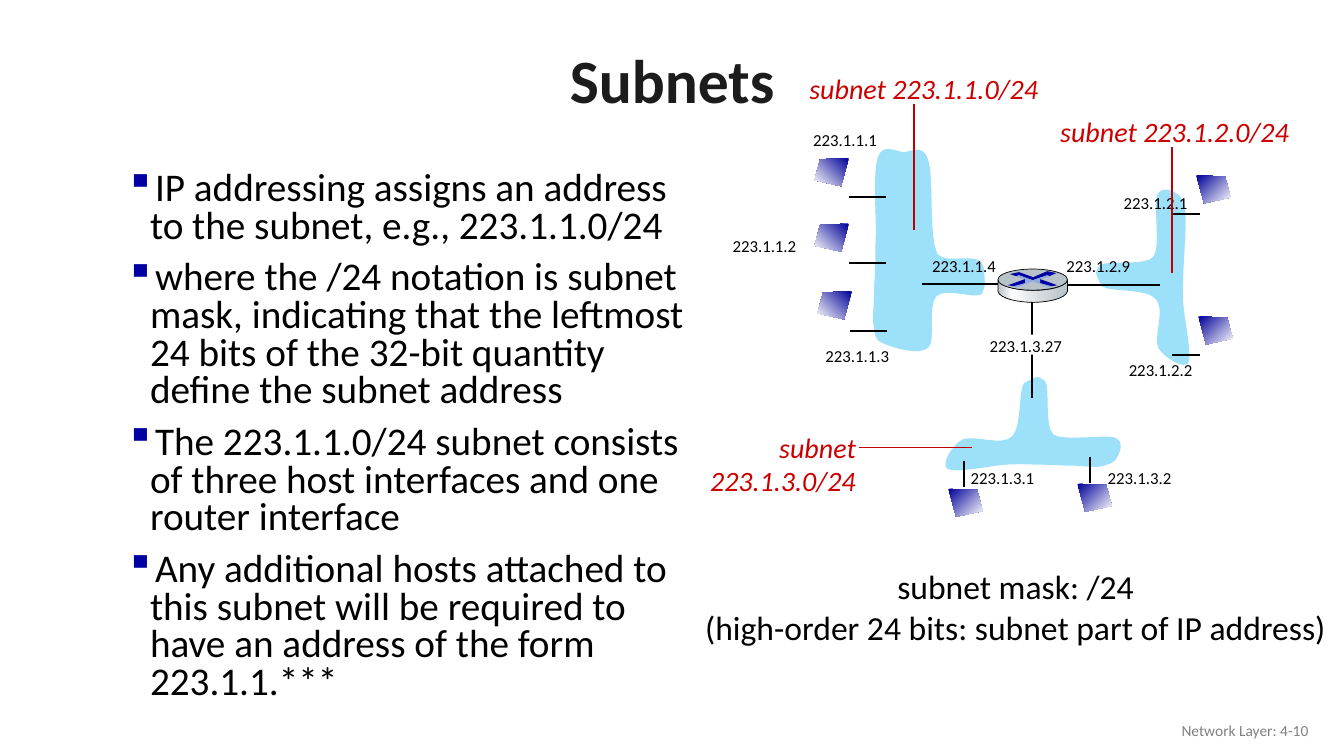
from lxml.etree import SubElement as Sub
from pptx import Presentation
from pptx.dml.color import RGBColor as RGB
from pptx.enum.shapes import MSO_CONNECTOR as Conn, MSO_SHAPE as Geo
from pptx.enum.text import MSO_ANCHOR as Anchor, PP_ALIGN as Al
from pptx.oxml.ns import qn
from pptx.util import Pt


def color(code):
    """Return the colour of a hex string."""
    return RGB.from_string(code)


def curve(pts, steps=8):
    """Return points along a chain of cubic curves."""
    out = [pts[0]]
    for i in range(0, len(pts) - 1, 3):
        a, b, c, d = pts[i:i + 4]
        for k in range(1, steps + 1):
            t = k / steps
            u = 1 - t
            out.append(tuple(u**3 * p + 3 * u * u * t * q + 3 * u * t * t * r + t**3 * s
                             for p, q, r, s in zip(a, b, c, d)))
    return out


class Deck:
    """Holds the style and the current slide."""

    face = "Calibri"
    ink = "000000"

    def __init__(self, wide, high):
        """Open a deck with one blank slide."""
        self.show = Presentation()
        self.show.slide_width, self.show.slide_height = Pt(wide), Pt(high)
        self.shapes = self.show.slides.add_slide(self.show.slide_layouts[6]).shapes

    def text(self, box, lines, size, ink=None, align=Al.LEFT, wrap=False,
             anchor=Anchor.TOP, space=None, gap=0, dot=None, **style):
        """Add a text box with one paragraph per line."""
        frame = self.shapes.add_textbox(*map(Pt, box)).text_frame
        frame.word_wrap, frame.vertical_anchor = wrap, anchor
        look = {"name": self.face, "size": Pt(size), **style}
        for i, line in enumerate(lines):
            para = frame.paragraphs[0] if i == 0 else frame.add_paragraph()
            para.alignment = align
            if space:
                para.line_spacing = space
            if gap and i:
                para.space_before = Pt(gap)
            if dot:
                self.bullet(para, dot)
            run = para.add_run()
            run.text = line
            for key, val in look.items():
                setattr(run.font, key, val)
            run.font.color.rgb = color(ink or self.ink)

    def bullet(self, para, ink):
        """Give a paragraph a square bullet and a hanging indent."""
        prop = para._p.get_or_add_pPr()
        prop.set("marL", str(Pt(28.1)))
        prop.set("indent", str(Pt(-17.3)))
        Sub(Sub(prop, qn("a:buClr")), qn("a:srgbClr")).set("val", ink)
        Sub(prop, qn("a:buChar")).set("char", "▪")

    def line(self, x1, y1, x2, y2, ink=None, width=1.5):
        """Add a straight line."""
        link = self.shapes.add_connector(Conn.STRAIGHT, *map(Pt, (x1, y1, x2, y2)))
        link.line.color.rgb, link.line.width = color(ink or self.ink), Pt(width)
        Sub(link._element.spPr, qn("a:effectLst"))

    def paint(self, shape, fill, edge=None, angle=0):
        """Set a plain or graded fill and the outline."""
        shape.shadow.inherit = False
        if isinstance(fill, str):
            shape.fill.solid()
            shape.fill.fore_color.rgb = color(fill)
        else:
            shape.fill.gradient()
            shape.fill.gradient_angle = angle
            stops = shape._element.spPr.find(qn("a:gradFill")).find(qn("a:gsLst"))
            for old in list(stops):
                stops.remove(old)
            for pos, code in fill:
                stop = Sub(stops, qn("a:gs"))
                stop.set("pos", str(pos * 1000))
                Sub(stop, qn("a:srgbClr")).set("val", code)
        if edge:
            shape.line.color.rgb, shape.line.width = color(self.ink), Pt(edge)
        else:
            shape.line.fill.background()

    def shape(self, kind, box, fill, edge=None):
        """Add a preset shape."""
        self.paint(self.shapes.add_shape(kind, *map(Pt, box)), fill, edge)

    def free(self, pts, fill, edge=None, angle=0):
        """Add a closed outline."""
        spots = [(Pt(x), Pt(y)) for x, y in pts]
        path = self.shapes.build_freeform(*spots[0], scale=1.0)
        path.add_line_segments(spots[1:], close=True)
        self.paint(path.convert_to_shape(), fill, edge, angle)

    def host(self, x, y, flip):
        """Add a host, leaning left when flipped."""
        form = [(0, 0), (20.5, 0.8), (24.5, 15.8), (5.5, 20)]
        self.free([(x + (24.5 - a if flip else a), y + b) for a, b in form],
                  [(0, "000099"), (100, "FFFFFF")], angle=225 if flip else 315)


BLOBS = [
    [(731.5, 273.6), (727.2, 280.1), (730.1, 304.6), (722.9, 311.8), (715.7, 319),
     (695.5, 310.3), (687.6, 313.9), (680.4, 317.5), (671.8, 331.9), (676.8, 334.8),
     (681.8, 338.4), (707.8, 332.6), (718.6, 331.9), (729.4, 331.2), (735.1, 331.9),
     (743, 331.9), (751, 331.9), (758.2, 332.6), (765.4, 332.6), (771.8, 332.6),
     (780.5, 334.1), (785.5, 333.4), (791.3, 331.9), (796.3, 330.5), (797.8, 326.9),
     (799.9, 323.3), (803.5, 315.4), (796.3, 312.5), (788.4, 310.3), (758.9, 315.4),
     (752.4, 310.3), (745.9, 304.6), (750.2, 277.2), (746.6, 272.2), (740.9, 268.6),
     (743, 267.8), (731.5, 273.6)],
    [(787, 204.5), (793.4, 208.8), (817.9, 205.9), (825.1, 213.1), (833, 220.3),
     (823.7, 240.5), (827.3, 248.4), (831.6, 255.6), (846, 264.2), (848.9, 259.2),
     (851.8, 254.2), (846, 228.2), (845.3, 217.4), (844.6, 206.6), (845.3, 200.9),
     (845.3, 193), (846, 185), (846, 177.8), (846.7, 170.6), (846.7, 163.4),
     (847.4, 155.5), (846.7, 150.5), (846, 144.7), (843.8, 139.7), (840.2, 138.2),
     (837.4, 136.1), (829.4, 132.5), (826.6, 139.7), (823.7, 147.6), (829.4, 177.1),
     (823.7, 183.6), (818.6, 190.1), (790.6, 185.8), (785.5, 189.4), (782.6, 195.1),
     (781.2, 193), (787, 204.5)],
    [(702.7, 191.5), (701.3, 177.8), (676.1, 190.1), (669.6, 181.4), (663.1, 168.5),
     (667.4, 126.7), (663.1, 114.5), (659.5, 102.2), (650.9, 108.7), (645.1, 108.7),
     (639.4, 108), (630.7, 102.2), (627.1, 112.3), (623.5, 121.7), (625.7, 153.4),
     (625.7, 166.3), (625, 179.3), (625.7, 182.9), (625, 190.8), (625, 198.7),
     (624.2, 205.9), (624.2, 213.1), (624.2, 220.3), (622.8, 228.2), (624.2, 233.3),
     (625, 239), (625, 243.4), (631.4, 245.5), (637.9, 248.4), (656.6, 254.2),
     (663.1, 248.4), (668.9, 243.4), (662.4, 218.2), (668.9, 211.7), (675.4, 205.2),
     (695.5, 213.8), (701.3, 210.2), (703.4, 204.5), (704.2, 205.2), (702.7, 191.5)]]
SIDE = [(762.5, 208.1), (761, 213.8), (746.6, 216), (738, 216), (729.4, 216),
        (714.2, 213.8), (712.8, 208.1), (712.8, 206.6), (712.8, 202.3), (712.8, 200.2),
        (715, 205.2), (729.4, 207.4), (738, 207.4), (745.9, 207.4), (760.3, 205.9),
        (762.5, 200.2)]
STEEL = [(0, "B8C2C9"), (21, "FFFFFF"), (60, "D6DCE0"), (100, "B8C2C9")]
MARKS = [
    ("0000A3", [(748.1, 193.7), (754.6, 195.1), (749.5, 197.3), (748.1, 196.6),
                (737.3, 200.2), (727.9, 196.6), (725.8, 197.3), (721.4, 195.8),
                (727.9, 194.4), (738, 198)]),
    ("0000A3", [(743, 199.4), (755.3, 203.8), (751, 204.5), (743, 202.3)]),
    ("0000A8", [(732.2, 199.4), (732.2, 202.3), (724.3, 204.5), (720, 203.8)]),
    ("8FAADC", [(725.8, 197.3), (727.9, 196.6), (738, 200.2), (748.1, 196.6),
                (750.2, 197.3), (743, 199.4), (743, 202.3), (751, 204.5),
                (748.8, 205.2), (738, 200.9), (726.5, 205.2), (724.3, 204.5),
                (732.2, 202.3), (732.2, 199.4)])]
NAMES = [("1.1", 573.8, 89.3), ("1.2", 516.2, 164.9), ("1.3", 582.5, 243.4),
         ("1.4", 658.8, 179.3), ("2.9", 754.6, 179.3), ("2.2", 799.2, 253.4),
         ("2.1", 795.6, 133.9), ("3.2", 784.1, 330.5), ("3.1", 686.2, 330.5)]
WIRES = [(606.2, 140.4, 632.9, 140.4), (606.2, 187.9, 632.9, 187.9),
         (607, 236.2, 633.6, 236.2), (836.6, 152.6, 857.5, 152.6),
         (837.4, 253.4, 857.5, 253.4), (688.3, 329, 688.3, 347.8),
         (778.3, 326.2, 778.3, 344.9), (658.8, 203, 721.4, 203),
         (751.7, 203.8, 828.7, 203.8)]
HOSTS = [(581.8, 113, True), (581.8, 159.8, True), (583.9, 208.1, True),
         (854.6, 125.3, False), (856.1, 226.1, False), (769.7, 345.6, False),
         (677.5, 349.2, False)]
POINTS = [
    "IP addressing assigns an address to the subnet, e.g., 223.1.1.0/24",
    "where the /24 notation is subnet mask, indicating that the leftmost 24 bits of "
    "the 32-bit quantity define the subnet address",
    "The 223.1.1.0/24 subnet consists of three host interfaces and one router interface",
    "Any additional hosts attached to this subnet will be required to have an address "
    "of the form 223.1.1.***"]
NETS = [((499, 303.8, 119.5, 55.4), ["subnet", "223.1.3.0/24"], Al.RIGHT,
         (613.4, 319.7, 694.1, 319.7), 1.25),
        ((571, 47.5, 179.3, 31.7), ["subnet 223.1.1.0/24"], Al.LEFT,
         (653, 74.2, 653, 164.2), 1.5),
        ((750.2, 78.5, 179.3, 31.7), ["subnet 223.1.2.0/24"], Al.LEFT,
         (837.4, 105.1, 837.4, 195.1), 1.5)]


def main():
    """Build the slide."""
    deck = Deck(960, 540)
    deck.text((66.2, 24.5, 828, 70.6), ["Subnets"], 44, "1C1C1C", Al.CENTER, True,
              Anchor.MIDDLE, 0.9, bold=True)
    for blob in BLOBS:
        deck.free(curve(blob), "9CE0FA")
    deck.line(737.3, 215.3, 737.3, 284.4)
    for tail, x, y in NAMES:
        deck.text((x, y, 60.5, 21.6), ["223.1." + tail], 12)
    deck.shape(Geo.RECTANGLE, (704.2, 239, 67, 14.4), "FFFFFF")
    deck.text((699.8, 236.2, 67, 21.6), ["223.1.3.27"], 12)
    for wire in WIRES:
        deck.line(*wire)
    deck.text((72, 118.8, 433.4, 392.4), POINTS, 28, wrap=True, space=0.8, gap=10,
              dot="0000A3")
    for host in HOSTS:
        deck.host(*host)
    deck.free(curve(SIDE), STEEL, 0.5)
    deck.shape(Geo.OVAL, (712.8, 192.2, 49.7, 15.1), "B8C2C9", 0.5)
    for fill, mark in MARKS:
        deck.free(mark, fill)
    deck.text((494.6, 401, 461.5, 65.5),
              ["subnet mask: /24", "(high-order 24 bits: subnet part of IP address)"],
              24, align=Al.CENTER)
    for box, lines, align, lead, width in NETS:
        deck.text(box, lines, 20, "CC0000", align, italic=True)
        deck.line(*lead, "C00000", width)
    deck.text((725.8, 507.6, 216, 28.8), ["Network Layer: 4-10"], 11, "808080", Al.RIGHT,
              True, Anchor.MIDDLE)
    deck.show.save("out.pptx")


if __name__ == "__main__":
    main()
